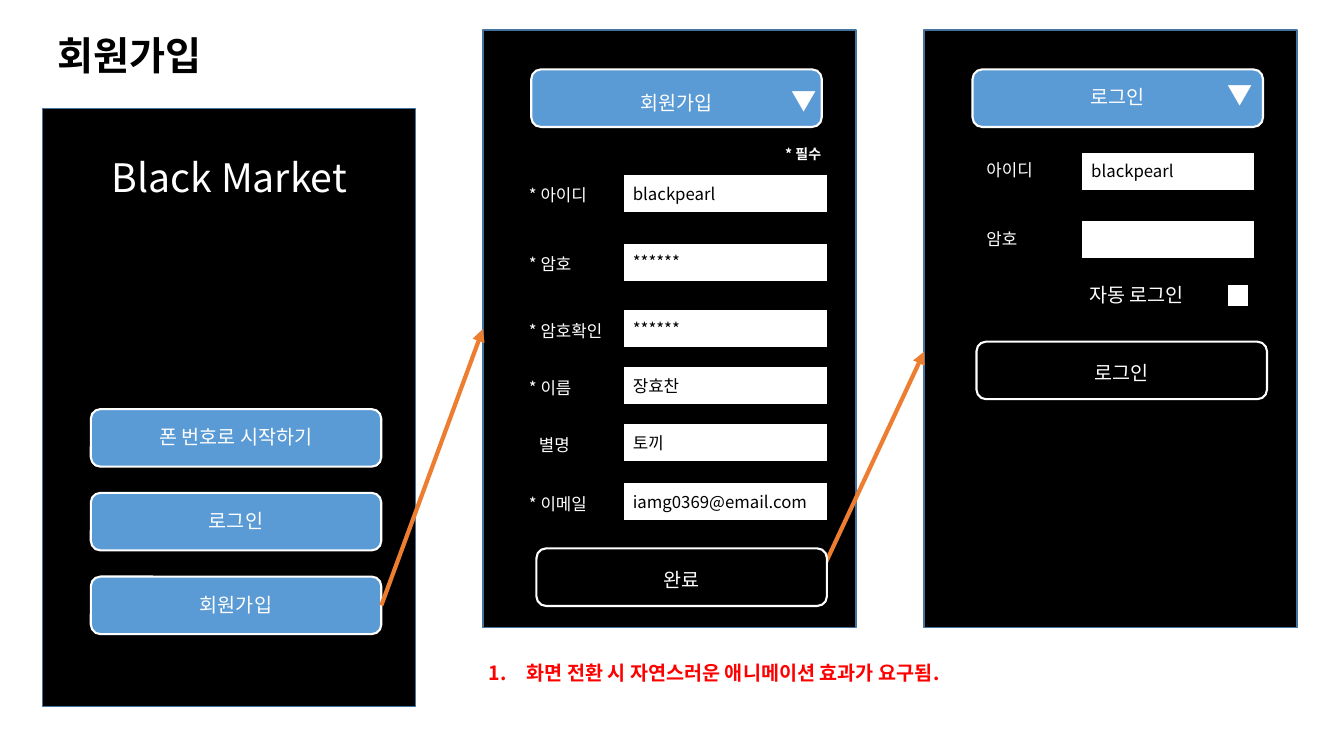
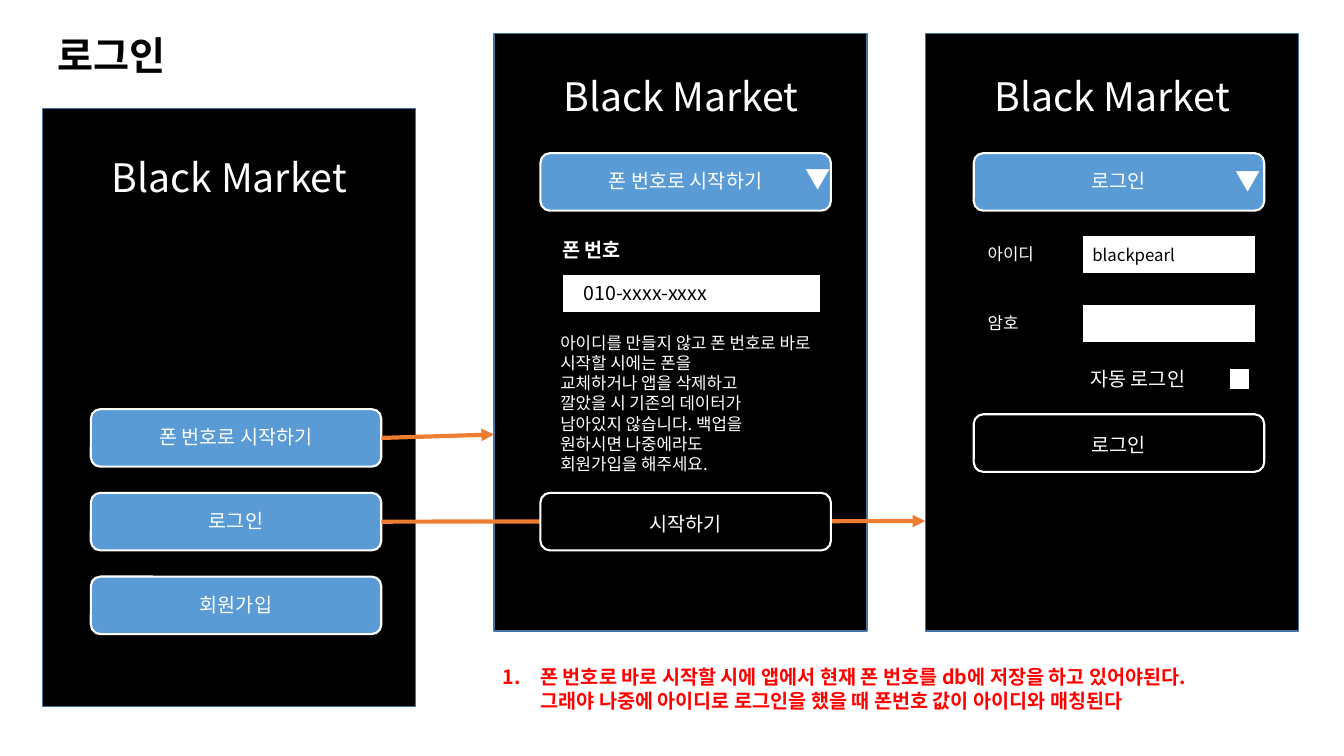
from copy import deepcopy

from lxml import etree
from pptx import Presentation
from pptx.dml.color import RGBColor
from pptx.enum.shapes import MSO_CONNECTOR, MSO_SHAPE
from pptx.enum.text import MSO_ANCHOR, MSO_AUTO_SIZE, PP_ALIGN
from pptx.oxml.ns import qn
from pptx.util import Cm, Pt

BLACK = RGBColor(0x00, 0x00, 0x00)
WHITE = RGBColor(0xFF, 0xFF, 0xFF)
BLUE = RGBColor(0x5B, 0x9B, 0xD5)
NAVY = RGBColor(0x43, 0x73, 0x9E)
ORANGE = RGBColor(0xED, 0x7D, 0x31)
RED = RGBColor(0xFF, 0x00, 0x00)

FONT = "Noto Sans CJK KR"
BRAND = "Black Market"
PHONE, LOGIN, SIGNUP = "폰 번호로 시작하기", "로그인", "회원가입"

RECT, ROUND = MSO_SHAPE.RECTANGLE, MSO_SHAPE.ROUNDED_RECTANGLE
STRAIGHT = MSO_CONNECTOR.STRAIGHT
LEFT, CENTER = PP_ALIGN.LEFT, PP_ALIGN.CENTER
TOP, MIDDLE = MSO_ANCHOR.TOP, MSO_ANCHOR.MIDDLE
FIXED = MSO_AUTO_SIZE.NONE

PANEL_W, PANEL_H = 9.4, 15.06
BUTTON_W, BUTTON_H = 7.32, 1.45
FIELD_H = 0.97
SIDE = 1.22


def write(frame, text, size, color, bold=False, align=LEFT):
    frame.word_wrap = True
    frame.vertical_anchor = TOP
    frame.text = text
    for para in frame.paragraphs:
        para.alignment = align
        for run in para.runs:
            run.font.size = Pt(size)
            run.font.bold = bold
            run.font.color.rgb = color
            run.font.name = FONT
            props = run._r.get_or_add_rPr()
            etree.SubElement(props, qn("a:ea"), typeface=FONT)
        for brk in para._p.findall(qn("a:br")):
            brk.append(deepcopy(props))


def pad(frame, left, top, right=0, bottom=0):
    frame.margin_left, frame.margin_top = Cm(left), Cm(top)
    frame.margin_right, frame.margin_bottom = Cm(right), Cm(bottom)


def label(slide, x, y, w, h, text, size=12, color=WHITE, bold=False, align=LEFT):
    box = slide.shapes.add_textbox(Cm(x), Cm(y), Cm(w), Cm(h))
    write(box.text_frame, text, size, color, bold, align)
    return box


def block(slide, kind, x, y, w, h, fill, line, width=1):
    shape = slide.shapes.add_shape(kind, Cm(x), Cm(y), Cm(w), Cm(h))
    shape.shadow.inherit = False
    shape.fill.solid()
    shape.fill.fore_color.rgb = fill
    shape.line.color.rgb = line
    shape.line.width = Pt(width)
    return shape


def panel(slide, x, y):
    return block(slide, RECT, x, y, PANEL_W, PANEL_H, BLACK, NAVY)


def brand(slide, x, y):
    label(slide, x + 0.38, y, 8.66, 1.45, BRAND, 28, align=CENTER)


def button(slide, x, y, text, fill=BLUE, top=0.33):
    shape = block(slide, ROUND, x, y, BUTTON_W, BUTTON_H, fill, WHITE, 1.5)
    write(shape.text_frame, text, 14, WHITE, align=CENTER)
    pad(shape.text_frame, 0, top)
    return shape


def action(slide, x, y, text):
    return button(slide, x, y, text, BLACK, 0.41)


def header(slide, x, y, text, mark, top=0.33):
    button(slide, x, y, text, top=top)
    dx, dy = mark
    box = label(slide, x + dx, y + dy, 0.66, 0.66, "▼", 18, align=CENTER)
    box.text_frame.word_wrap = False
    box.text_frame.vertical_anchor = MIDDLE
    pad(box.text_frame, 0, 0)


def field(slide, x, y, w, text="", size=12, left=0.25, top=0.23):
    shape = block(slide, RECT, x, y, w, FIELD_H, WHITE, BLACK)
    if text:
        write(shape.text_frame, text, size, BLACK)
        pad(shape.text_frame, left, top)


def link(slide, start, end):
    line = slide.shapes.add_connector(
        STRAIGHT, *(Cm(v) for v in (*start, *end)))
    line.line.color.rgb = ORANGE
    line.line.width = Pt(3)
    etree.SubElement(line.line._get_or_add_ln(), qn("a:tailEnd"), type="triangle")
    etree.SubElement(line._element.spPr, qn("a:effectLst"))
    return line


def note(slide, x, y, w, h, text):
    box = label(slide, x, y, w, h, text, 14, RED, True)
    props = box.text_frame.paragraphs[0]._p.get_or_add_pPr()
    props.set("marL", str(Cm(0.95)))
    props.set("indent", str(-Cm(0.95)))
    etree.SubElement(props, qn("a:buAutoNum"), type="arabicPeriod")


def page(deck, text):
    slide = deck.slides.add_slide(deck.slide_layouts[5])
    title = slide.shapes.title
    title.left, title.top = Cm(1.19), Cm(0.66)
    title.width, title.height = Cm(15), Cm(1.45)
    write(title.text_frame, text, 28, BLACK, True)
    title.text_frame.auto_size = FIXED
    return slide


def home(slide, x=1.07, y=2.74):
    panel(slide, x, y)
    brand(slide, x, y + 0.99)
    return [button(slide, x + SIDE, y + 7.57 + 2.11 * i, text)
            for i, text in enumerate((PHONE, LOGIN, SIGNUP))]


def signup(slide, x, y):
    header(slide, x + SIDE, y + 0.99, SIGNUP, (6.55, 0.46), 0.48)
    label(slide, x + 7.37, y + 2.79, 2.6, 0.68, "* 필수", 10, bold=True)
    rows = (
        (3.63, 0, "* 아이디", "blackpearl"),
        (5.36, 0, "* 암호", "******"),
        (7.04, 0, "* 암호확인", "******"),
        (8.48, 0, "* 이름", "장효찬"),
        (9.91, 0.25, "별명", "토끼"),
        (11.4, 0, "* 이메일", "iamg0369@email.com"),
    )
    for dy, shift, name, value in rows:
        label(slide, x + 0.91 + shift, y + dy + 0.15, 2.6, 0.76, name)
        field(slide, x + 3.53, y + dy, 5.16, value)
    action(slide, x + 1.35, y + 13.06, "완료")


def login(slide, x, y, mark, send):
    header(slide, x + SIDE, y, LOGIN, mark)
    for dy, name, value in ((2.08, "아이디", "blackpearl"), (3.81, "암호", "")):
        label(slide, x + 1.32, y + dy + 0.08, 2.6, 0.76, name)
        field(slide, x + 3.96, y + dy, 4.37, value)
    label(slide, x + 3.91, y + 5.26, 3.38, 0.86, "자동 로그인", 14)
    block(slide, RECT, x + 7.65, y + 5.41, 0.53, 0.56, WHITE, BLACK)
    dx, dy = send
    action(slide, x + dx, y + dy, LOGIN)


def phone(slide, x, y):
    brand(slide, x, y + 0.86)
    header(slide, x + 1.17, y + 3.02, PHONE, (6.67, 0.3))
    label(slide, x + 1.47, y + 5.03, 2.6, 0.86, "폰 번호", 14, bold=True)
    field(slide, x + 1.73, y + 6.07, 6.5, "010-xxxx-xxxx", 14, 0.53, 0.18)
    label(slide, x + 1.42, y + 7.42, 6.86, 3.84,
          "아이디를 만들지 않고 폰 번호로 바로 시작할 시에는 폰을\v"
          "교체하거나 앱을 삭제하고\v깔았을 시 기존의 데이터가\v"
          "남아있지 않습니다. 백업을\v원하시면 나중에라도\v"
          "회원가입을 해주세요.")
    action(slide, x + 1.17, y + 11.58, "시작하기")


def join_page(deck):
    slide = page(deck, SIGNUP)
    join = home(slide)[2]
    form = panel(slide, 12.17, 0.76)
    panel(slide, 23.29, 0.76)
    line = link(slide, (9.6, 15.24), (12.17, 8.3))
    line.begin_connect(join, 3)
    line.end_connect(form, 1)
    link(slide, (20.73, 14.35), (23.29, 8.86))
    signup(slide, 12.17, 0.76)
    login(slide, 23.29, 1.75, (6.4, 0.3), (1.32, 6.86))
    note(slide, 12.07, 16.54, 17.3, 0.86,
         "화면 전환 시 자연스러운 애니메이션 효과가 요구됨.")


def enter_page(deck):
    slide = page(deck, LOGIN)
    call, enter, _ = home(slide)
    panel(slide, 12.45, 0.84)
    panel(slide, 23.32, 0.84)
    for start, end in ((call, (12.45, 10.95)), (enter, (23.32, 13.13))):
        link(slide, (9.6, end[1]), end).begin_connect(start, 3)
    phone(slide, 12.45, 0.84)
    brand(slide, 23.32, 1.7)
    login(slide, 23.32, 3.86, (6.58, 0.36), (SIDE, 6.58))
    note(slide, 12.42, 16.64, 20.29, 1.45,
         "폰 번호로 바로 시작할 시에 앱에서 현재 폰 번호를 db에 저장을 하고 있어야된다.\v"
         "그래야 나중에 아이디로 로그인을 했을 때 폰번호 값이 아이디와 매칭된다")


def main():
    deck = Presentation()
    deck.slide_width, deck.slide_height = Cm(33.87), Cm(19.05)
    join_page(deck)
    enter_page(deck)
    deck.save("out.pptx")


if __name__ == "__main__":
    main()
